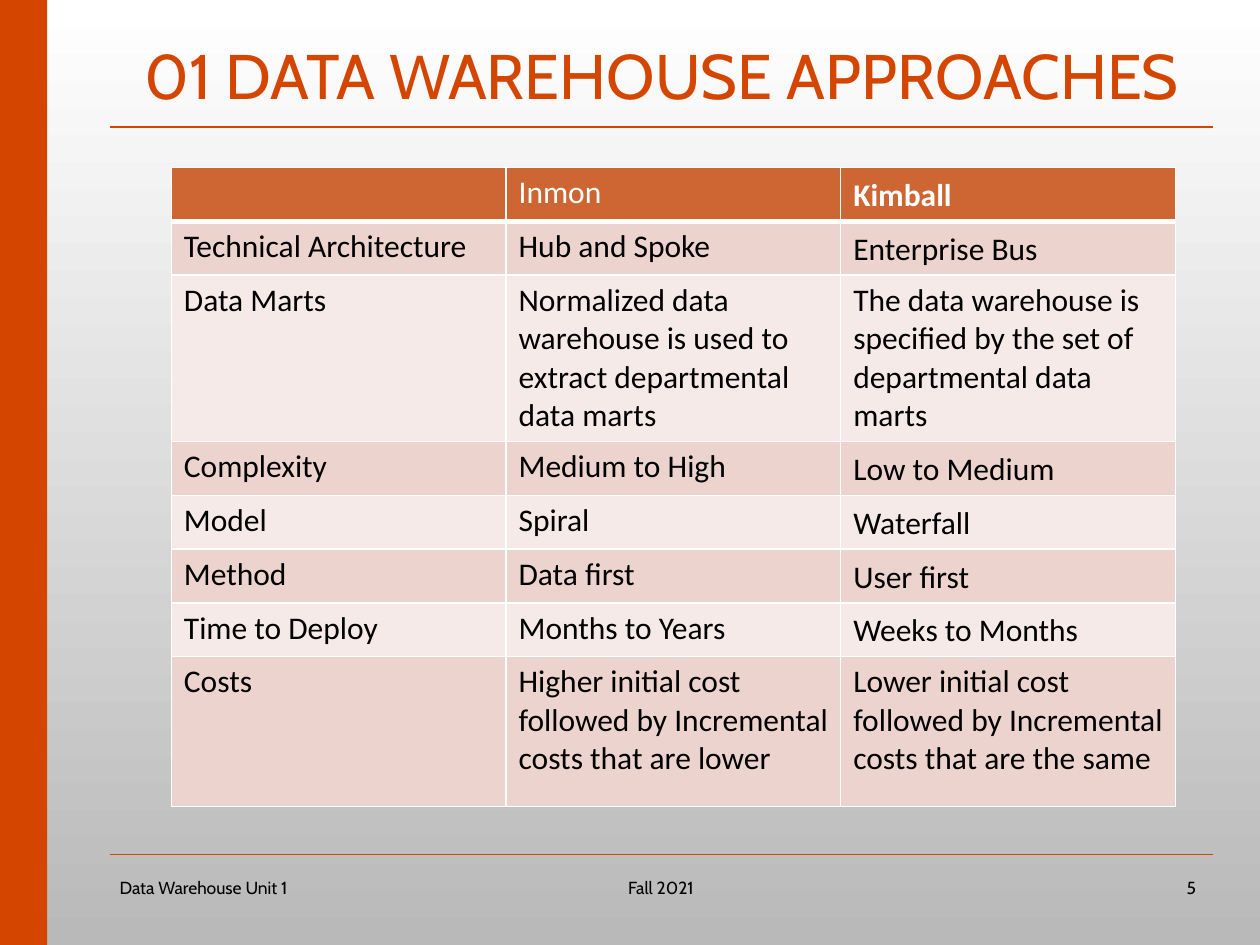
import dataclasses

import lxml.etree
import pptx
import pptx.dml.color
import pptx.enum.shapes
import pptx.enum.text
import pptx.oxml.ns
import pptx.util

ALIGN = pptx.enum.text.PP_ALIGN
TITLE_ONLY_LAYOUT = 5

APPROACHES = [
    ("", "Inmon", "Kimball"),
    ("Technical Architecture", "Hub and Spoke", "Enterprise Bus"),
    ("Data Marts",
     "Normalized data warehouse is used to extract departmental data marts",
     "The data warehouse is specified by the set of departmental data marts"),
    ("Complexity", "Medium to High", "Low to Medium"),
    ("Model", "Spiral", "Waterfall"),
    ("Method", "Data first", "User first"),
    ("Time to Deploy", "Months to Years", "Weeks to Months"),
    ("Costs",
     "Higher initial cost followed by Incremental costs that are lower",
     "Lower initial cost followed by Incremental costs that are the same"),
]
ROW_SPANS = {"Data Marts": 12.5, "Costs": 11.9}
SHORT_ROW_SPAN = 3.7


@dataclasses.dataclass(frozen=True)
class Theme:
    accent: str = "D44500"
    header_fill: str = "CE6633"
    bands: tuple = ("EDD3CE", "F6EAE8")
    backdrop: tuple = ("FFFFFF", "B9B9B9")
    light: str = "FFFFFF"
    dark: str = "000000"
    heading_font: str = "Cabin"
    table_font: str = "Calibri"
    title_size: int = 36
    table_size: int = 18
    footer_size: int = 10


def color(value):
    return pptx.dml.color.RGBColor.from_string(value)


class SlideBuilder:
    """Places elements on a grid of 100 columns by 75 rows."""

    columns, rows = 100, 75

    def __init__(self, presentation, theme):
        self.theme = theme
        self.column = presentation.slide_width / self.columns
        self.row = presentation.slide_height / self.rows
        layout = presentation.slide_layouts[TITLE_ONLY_LAYOUT]
        self.slide = presentation.slides.add_slide(layout)

    def box(self, left, top, width, height):
        return (round(left * self.column), round(top * self.row),
                round(width * self.column), round(height * self.row))

    def add_text(self, paragraph, text, size, font, fill, bold=False):
        run = paragraph.add_run()
        run.text = text
        run.font.size = pptx.util.Pt(size)
        run.font.name = font
        run.font.bold = bold
        run.font.color.rgb = color(fill)

    def backdrop(self):
        fill = self.slide.background.fill
        fill.gradient()
        fill.gradient_angle = 270
        for stop, shade in zip(fill.gradient_stops, self.theme.backdrop):
            stop.color.rgb = color(shade)

    def band(self, *place):
        shape = self.slide.shapes.add_shape(
            pptx.enum.shapes.MSO_SHAPE.RECTANGLE, *self.box(*place))
        shape.shadow.inherit = False
        shape.fill.solid()
        shape.fill.fore_color.rgb = color(self.theme.accent)
        shape.line.fill.background()

    def rule(self, left, top, width, weight):
        x, y, length, _ = self.box(left, top, width, 0)
        line = self.slide.shapes.add_connector(
            pptx.enum.shapes.MSO_CONNECTOR.STRAIGHT, x, y, x + length, y)
        line.line.color.rgb = color(self.theme.accent)
        line.line.width = pptx.util.Pt(weight)
        properties = line._element.spPr
        lxml.etree.SubElement(properties, pptx.oxml.ns.qn("a:effectLst"))

    def title(self, text, *place):
        shape = self.slide.shapes.title
        shape.left, shape.top, shape.width, shape.height = self.box(*place)
        frame = shape.text_frame
        frame.auto_size = pptx.enum.text.MSO_AUTO_SIZE.NONE
        frame.vertical_anchor = pptx.enum.text.MSO_ANCHOR.MIDDLE
        paragraph = frame.paragraphs[0]
        paragraph.alignment = ALIGN.CENTER
        paragraph.line_spacing = 0.9
        self.add_text(paragraph, text, self.theme.title_size,
                      self.theme.heading_font, self.theme.accent)

    def footer(self, text, left, width, alignment):
        shape = self.slide.shapes.add_textbox(*self.box(left, 68.4, width, 4))
        frame = shape.text_frame
        frame.word_wrap = True
        frame.vertical_anchor = pptx.enum.text.MSO_ANCHOR.MIDDLE
        paragraph = frame.paragraphs[0]
        paragraph.alignment = alignment
        self.add_text(paragraph, text, self.theme.footer_size,
                      self.theme.heading_font, self.theme.dark)

    def cell_borders(self, cell, bottom_weight):
        properties = cell._tc.get_or_add_tcPr()
        weights = {"lnL": 1, "lnR": 1, "lnT": 1, "lnB": bottom_weight}
        for position, (side, weight) in enumerate(weights.items()):
            border = lxml.etree.Element(pptx.oxml.ns.qn(f"a:{side}"),
                                        w=str(int(pptx.util.Pt(weight))))
            fill = lxml.etree.SubElement(border, pptx.oxml.ns.qn("a:solidFill"))
            lxml.etree.SubElement(fill, pptx.oxml.ns.qn("a:srgbClr"),
                                  val=self.theme.light)
            properties.insert(position, border)

    def table(self, records, left, top, width):
        theme = self.theme
        spans = [ROW_SPANS.get(record[0], SHORT_ROW_SPAN) for record in records]
        table = self.slide.shapes.add_table(
            len(records), len(records[0]),
            *self.box(left, top, width, sum(spans))).table
        for row_index, record in enumerate(records):
            table.rows[row_index].height = round(spans[row_index] * self.row)
            is_header = row_index == 0
            band = theme.bands[(row_index - 1) % 2]
            for column_index, text in enumerate(record):
                cell = table.cell(row_index, column_index)
                cell.fill.solid()
                cell.fill.fore_color.rgb = color(
                    theme.header_fill if is_header else band)
                self.cell_borders(cell, 3 if is_header else 1)
                paragraph = cell.text_frame.paragraphs[0]
                is_last = column_index == len(record) - 1
                if is_last and record[0] not in ROW_SPANS:
                    paragraph.line_spacing = 1.07
                    paragraph.space_after = pptx.util.Pt(8)
                if text:
                    self.add_text(paragraph, text, theme.table_size,
                                  theme.table_font,
                                  theme.light if is_header else theme.dark,
                                  bold=is_header and is_last)
                else:
                    paragraph.font.size = pptx.util.Pt(theme.table_size)


def main():
    presentation = pptx.Presentation()
    presentation.slide_width = pptx.util.Inches(10)
    presentation.slide_height = pptx.util.Inches(7.5)

    builder = SlideBuilder(presentation, Theme())
    builder.backdrop()
    builder.band(0, 0, 3.75, builder.rows)
    builder.rule(8.75, 10.1, 87.5, weight=1)
    builder.rule(8.75, 67.8, 87.5, weight=0.75)
    builder.title("01 DATA WAREHOUSE APPROACHES", 8.75, 2.8, 87.5, 6.9)
    builder.table(APPROACHES, 13.6, 13.3, 79.7)
    builder.footer("Data Warehouse Unit 1", 8.5, 31.5, ALIGN.LEFT)
    builder.footer("Fall 2021", 41.2, 22.5, ALIGN.CENTER)
    builder.footer("5", 90.9, 5, ALIGN.RIGHT)
    presentation.save("out.pptx")


if __name__ == "__main__":
    main()
